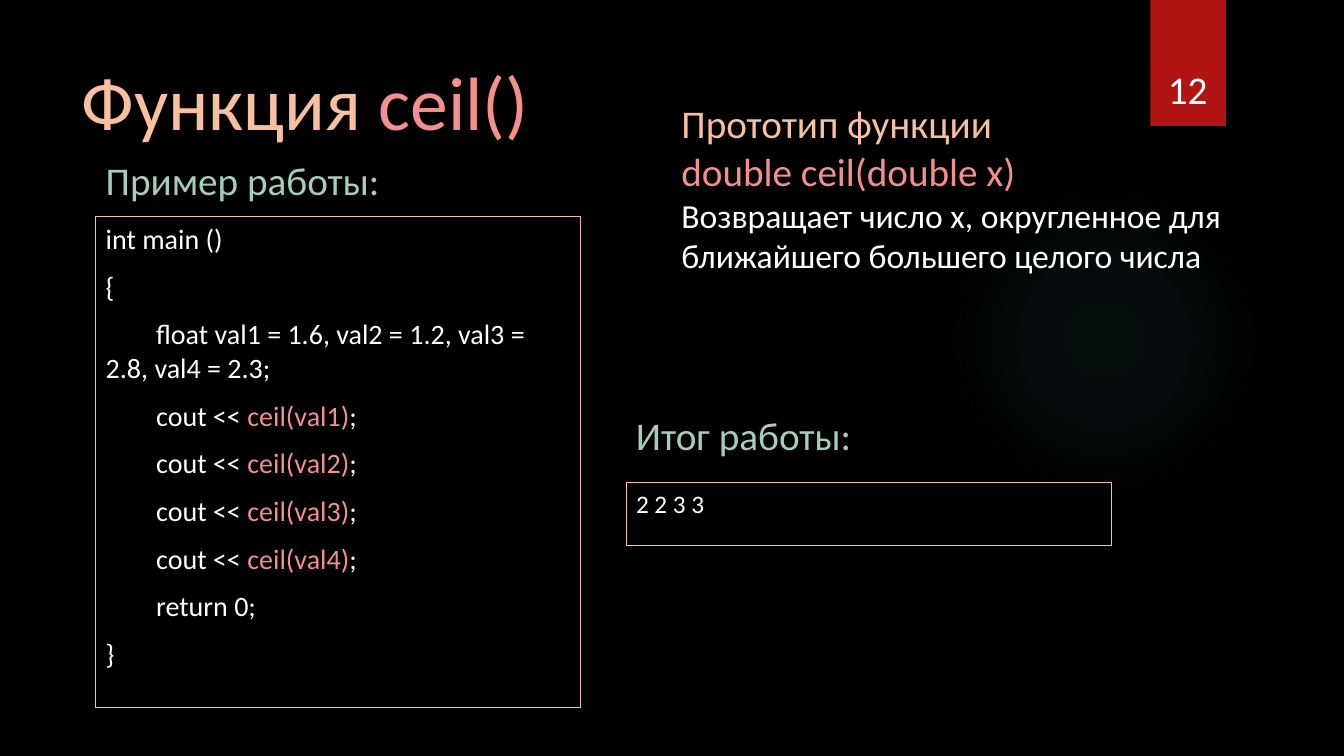
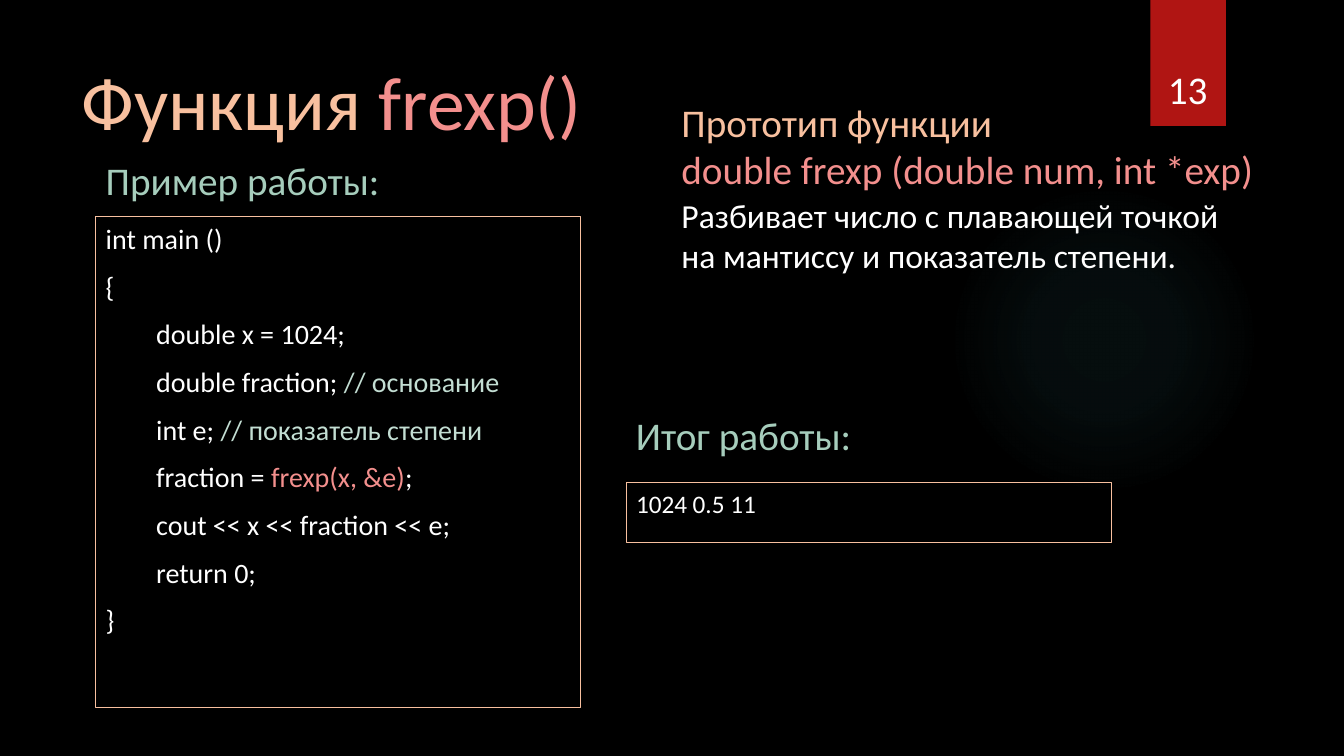
import dataclasses

import lxml.etree
import pptx
import pptx.dml.color
import pptx.enum.shapes
import pptx.enum.text
import pptx.oxml
import pptx.oxml.ns
import pptx.util

EMU_PER_PX = 9144  # 100 px to the inch
ANCHOR = pptx.enum.text.MSO_ANCHOR
ALIGN = pptx.enum.text.PP_ALIGN
SHAPE = pptx.enum.shapes.MSO_SHAPE


@dataclasses.dataclass(frozen=True)
class Theme:
    font: str = "Calibri"
    background: str = "000000"
    text: str = "FFFFFF"
    peach: str = "F8C09F"
    coral: str = "F38F8D"
    mint: str = "A6CDBC"
    comment: str = "C3DED3"
    band: str = "B01513"
    glow: str = "50B9C1"
    title_size: int = 54
    heading_size: int = 28
    body_size: int = 24
    code_size: int = 20
    output_size: int = 18
    code_gap: int = 10
    border: float = 0.75


THEME = Theme()


def px(length):
    return pptx.util.Emu(length * EMU_PER_PX)


def rgb(value):
    return pptx.dml.color.RGBColor.from_string(value)


def write(para, text, *, size, color=THEME.text, gap=0, indent=0, align=ALIGN.LEFT):
    """Fill a paragraph with a string or a list of strings and (string, colour) pairs."""
    para.alignment = align
    para.space_before = pptx.util.Pt(gap)
    if indent:
        para._p.get_or_add_pPr().set("indent", str(px(indent)))
    for part in [text] if isinstance(text, str) else text:
        words, part_color = (part, color) if isinstance(part, str) else part
        span = para.add_run()
        span.text = words
        span.font.name = THEME.font
        span.font.size = pptx.util.Pt(size)
        span.font.color.rgb = rgb(part_color)


class FunctionDeck:
    def __init__(self):
        self.deck = pptx.Presentation()
        self.deck.slide_width, self.deck.slide_height = px(1333), px(750)
        fill = self.deck.slide_master.background.fill
        fill.solid()
        fill.fore_color.rgb = rgb(THEME.background)
        self.page = None

    def new_page(self, number):
        self.page = self.deck.slides.add_slide(self.deck.slide_layouts[6])
        self.glow(941, 183, 308)
        band = self.shape(SHAPE.RECTANGLE, 1141, 0, 75, 125)
        band.fill.solid()
        band.fill.fore_color.rgb = rgb(THEME.band)
        self.text((1132, 32, 92, 84), [str(number)], size=THEME.heading_size,
                  align=ALIGN.CENTER, anchor=ANCHOR.BOTTOM)

    def shape(self, kind, left, top, width, height):
        shape = self.page.shapes.add_shape(kind, px(left), px(top), px(width), px(height))
        shape.shadow.inherit = False
        shape.line.fill.background()
        return shape

    def glow(self, left, top, diameter):
        """Draw a circle that fades out from its centre."""
        circle = self.shape(SHAPE.OVAL, left, top, diameter, diameter)
        stops = "".join(
            f'<a:gs pos="{position * 1000}"><a:srgbClr val="{THEME.glow}">'
            f'<a:alpha val="{alpha * 1000}"/></a:srgbClr></a:gs>'
            for position, alpha in ((0, 7), (36, 6), (69, 0)))
        gradient = pptx.oxml.parse_xml(
            f'<a:gradFill {pptx.oxml.ns.nsdecls("a")}><a:gsLst>{stops}</a:gsLst>'
            '<a:path path="circle"><a:fillToRect l="50000" t="50000" r="50000" b="50000"/>'
            '</a:path></a:gradFill>')
        circle._element.spPr.find(pptx.oxml.ns.qn("a:prstGeom")).addnext(gradient)

    def text(self, area, paragraphs, *, anchor=ANCHOR.TOP, **style):
        box = self.page.shapes.add_textbox(*map(px, area))
        frame = box.text_frame
        frame.word_wrap = True
        frame.vertical_anchor = anchor
        for index, text in enumerate(paragraphs):
            para = frame.add_paragraph() if index else frame.paragraphs[0]
            write(para, text, **style)
        return box

    def framed_text(self, area, paragraphs, **style):
        box = self.text(area, paragraphs, gap=THEME.code_gap, **style)
        box.line.color.rgb = rgb(THEME.peach)
        box.line.width = pptx.util.Pt(THEME.border)
        return box

    def code(self, area, body):
        """Show the statements indented inside a main function."""
        box = self.framed_text(area, ["int main ()", "{"], size=THEME.code_size)
        for statement in [*body, "return 0;"]:
            write(box.text_frame.add_paragraph(), statement, size=THEME.code_size,
                  gap=THEME.code_gap, indent=50)
        write(box.text_frame.add_paragraph(), "}", size=THEME.code_size, gap=THEME.code_gap)

    def heading(self, left, top, text):
        self.text((left, top, 416, 57), [text], size=THEME.heading_size, color=THEME.mint)

    def function_page(self, number, name, prototype, prototype_area, description,
                      body, output, output_height):
        self.new_page(number)
        self.text((71, 50, 550, 91), [["Функция ", (name, THEME.coral)]],
                  size=THEME.title_size, color=THEME.peach)
        self.heading(95, 150, "Пример работы:")
        self.code((95, 215, 481, 487), body)
        self.text(prototype_area, ["Прототип функции", [(prototype, THEME.coral)]],
                  size=THEME.heading_size, color=THEME.peach)
        self.text((666, 188, 568, 91), description, size=THEME.body_size)
        self.heading(621, 403, "Итог работы:")
        self.framed_text((621, 479, 481, output_height), [output], size=THEME.output_size)


def main():
    slides = FunctionDeck()
    slides.function_page(
        12, "ceil()", "double ceil(double x)", (666, 94, 402, 151),
        ["Возвращает число х, округленное для", "ближайшего большего целого числа"],
        ["float val1 = 1.6, val2 = 1.2, val3 = 2.8, val4 = 2.3;",
         *(["cout << ", (f"ceil(val{index})", THEME.coral), ";"] for index in range(1, 5))],
        "2 2 3 3", 62)
    slides.function_page(
        13, "frexp()", "double frexp (double num, int *exp)", (666, 93, 635, 151),
        ["Разбивает число с плавающей точкой", "на мантиссу и показатель степени."],
        ["double x = 1024;",
         ["double fraction; ", ("// основание", THEME.comment)],
         ["int e; ", ("// показатель степени", THEME.comment)],
         ["fraction = ", ("frexp(x, &e)", THEME.coral), ";"],
         "cout << x << fraction << e;"],
        "1024 0.5 11", 59)
    slides.deck.save("out.pptx")


if __name__ == "__main__":
    main()
